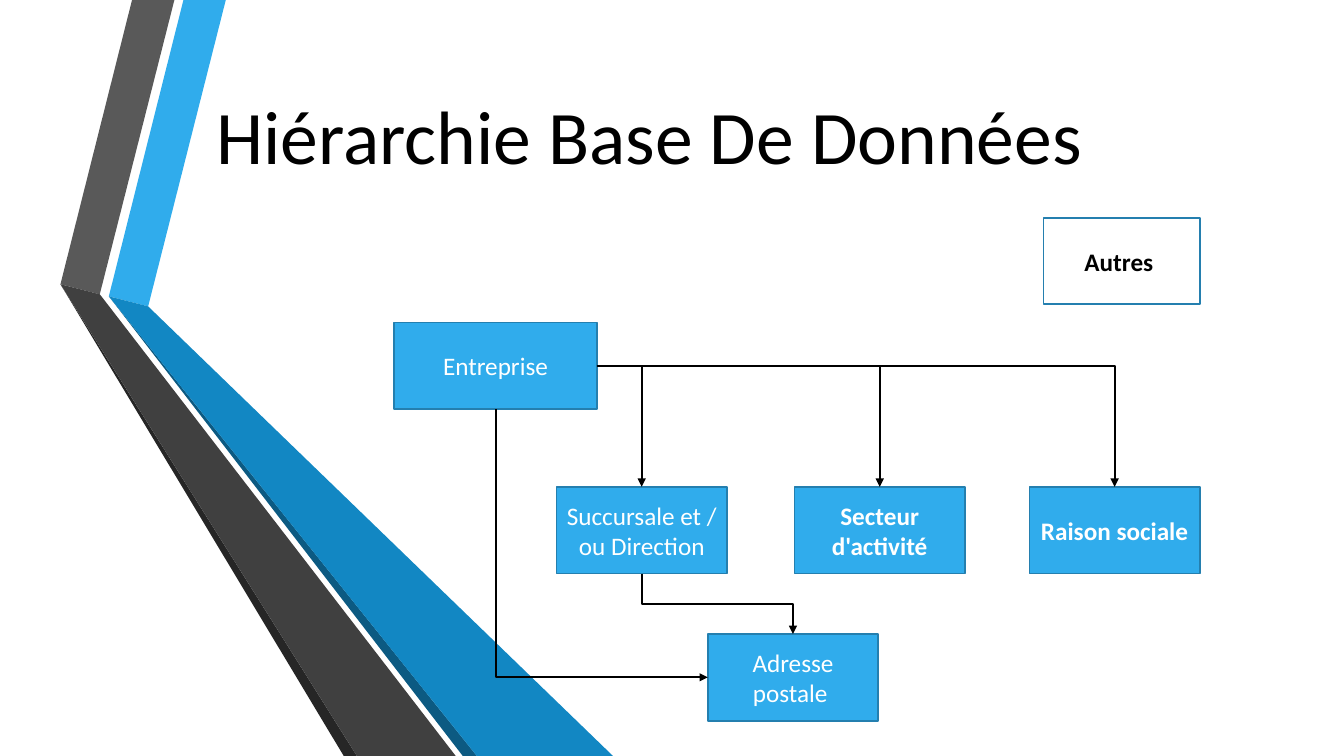
from lxml import etree
from pptx import Presentation
from pptx.dml.color import RGBColor
from pptx.enum.shapes import MSO_CONNECTOR as CONN, MSO_SHAPE as SHAPE
from pptx.enum.text import MSO_ANCHOR as ANCHOR, PP_ALIGN as ALIGN
from pptx.oxml.ns import qn
from pptx.util import Inches, Pt

BLACK = RGBColor(0x00, 0x00, 0x00)
WHITE = RGBColor(0xFF, 0xFF, 0xFF)
BLUE = RGBColor(0x30, 0xAC, 0xEC)
MID_BLUE = RGBColor(0x12, 0x87, 0xC3)
DEEP_BLUE = RGBColor(0x0C, 0x5A, 0x82)
OUTLINE = RGBColor(0x24, 0x7F, 0xAF)
GREY = RGBColor(0x59, 0x59, 0x59)
DARK_GREY = RGBColor(0x40, 0x40, 0x40)
NEAR_BLACK = RGBColor(0x26, 0x26, 0x26)
FONT = "Calibri"
TOP, RIGHT, BOTTOM, LEFT = 0, 3, 2, 1

prs = Presentation()
prs.slide_width, prs.slide_height = Inches(13.33), Inches(7.5)
s = prs.slides.add_slide(prs.slide_layouts[0])
subtitle = s.placeholders[1]._element
subtitle.getparent().remove(subtitle)

# Folded ribbons on the left
ribbons = [
    (BLUE, [(1.08, 2.94), (1.47, 3.04), (2.24, 0), (1.82, 0)]),
    (GREY, [(0.99, 2.92), (1.73, 0), (1.31, 0), (0.6, 2.82)]),
    (NEAR_BLACK, [(0.6, 2.82), (3.41, 7.5), (3.54, 7.5)]),
    (DEEP_BLUE, [(4.73, 7.5), (1.08, 2.94), (4.59, 7.5)]),
    (MID_BLUE, [(1.08, 2.94), (4.73, 7.5), (6.08, 7.5), (1.47, 3.04)]),
    (DARK_GREY, [(4.52, 7.5), (1.06, 3.01), (0.99, 2.92), (0.6, 2.82), (3.54, 7.5)]),
]
for color, corners in ribbons:
    points = [(Inches(x), Inches(y)) for x, y in corners]
    builder = s.shapes.build_freeform(*points[0])
    builder.add_line_segments(points[1:])
    sp = builder.convert_to_shape()
    sp.shadow.inherit = False
    sp.fill.solid()
    sp.fill.fore_color.rgb = color
    sp.line.fill.background()

# Title, in front of the ribbons
title = s.shapes.title
s.shapes._spTree.append(title._element)
title.left, title.top = Inches(1.75), Inches(0.96)
title.width, title.height = Inches(9.38), Inches(0.87)
tf = title.text_frame
tf.text = "Hiérarchie Base De Données"
tf.vertical_anchor = ANCHOR.BOTTOM
p = tf.paragraphs[0]
p.alignment = ALIGN.CENTER
p.font.name, p.font.size = FONT, Pt(54)
p.font.color.rgb = BLACK

# Boxes: text, left, top, width, bold, filled
boxes = {
    "branch": ("Succursale et / ou Direction", 5.52, 4.83, 1.69, False, True),
    "company": ("Entreprise", 3.91, 3.2, 2.01, False, True),
    "others": ("Autres ", 10.35, 2.16, 1.55, True, False),
    "sector": ("Secteur d'activité", 7.88, 4.83, 1.69, True, True),
    "name": ("Raison sociale ", 10.21, 4.83, 1.69, True, True),
    "address": ("Adresse postale ", 7.02, 6.29, 1.69, False, True),
}
shapes = {}
for key, (text, left, top, width, bold, filled) in boxes.items():
    sp = s.shapes.add_shape(SHAPE.RECTANGLE, Inches(left), Inches(top),
                            Inches(width), Inches(0.86))
    sp.shadow.inherit = False
    if filled:
        sp.fill.solid()
        sp.fill.fore_color.rgb = BLUE
    else:
        sp.fill.background()
    sp.line.color.rgb, sp.line.width = OUTLINE, Pt(1.25)
    tf = sp.text_frame
    tf.word_wrap = True
    tf.vertical_anchor = ANCHOR.MIDDLE
    tf.text = text
    p = tf.paragraphs[0]
    p.alignment = ALIGN.CENTER
    p.font.name, p.font.size, p.font.bold = FONT, Pt(18), bold
    p.font.color.rgb = WHITE if filled else BLACK
    shapes[key] = sp

# Elbow arrows: source, side, target, side, preset
links = [
    ("company", BOTTOM, "address", LEFT, "bentConnector2"),
    ("company", RIGHT, "branch", TOP, "bentConnector2"),
    ("branch", BOTTOM, "address", TOP, "bentConnector3"),
    ("company", RIGHT, "sector", TOP, "bentConnector2"),
    ("company", RIGHT, "name", TOP, "bentConnector2"),
]
for source, start, target, end, preset in links:
    link = s.shapes.add_connector(CONN.ELBOW, 0, 0, 0, 0)
    link.begin_connect(shapes[source], start)
    link.end_connect(shapes[target], end)
    link.line.color.rgb, link.line.width = BLACK, Pt(1.5)
    spPr = link._element.spPr
    spPr.find(qn("a:prstGeom")).set("prst", preset)
    if start == BOTTOM:
        # An elbow leaving downwards is a mirrored one turned by 270 degrees
        x, y, w, h = link.left, link.top, link.width, link.height
        link.left, link.top = x + (w - h) // 2, y + (h - w) // 2
        link.width, link.height = h, w
        xfrm = spPr.find(qn("a:xfrm"))
        xfrm.set("rot", str(270 * 60000))
        xfrm.set("flipH", "1")
    etree.SubElement(spPr.find(qn("a:ln")), qn("a:tailEnd"), type="triangle")
    etree.SubElement(spPr, qn("a:effectLst"))

prs.save("out.pptx")
